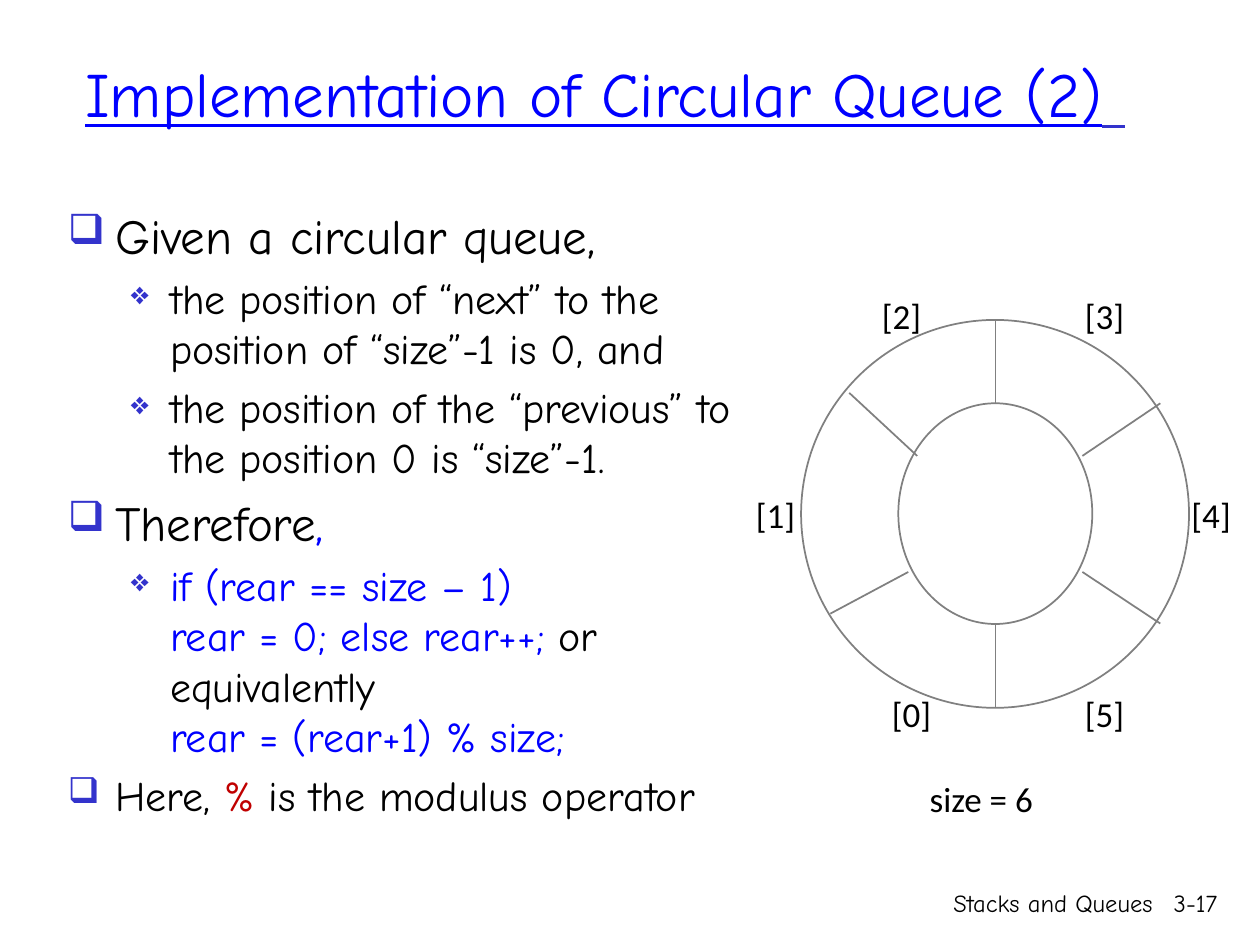
import lxml.etree
import pptx
import pptx.dml.color
import pptx.enum.shapes
import pptx.enum.text
import pptx.oxml.ns
import pptx.util

Cm = pptx.util.Cm
Pt = pptx.util.Pt
qn = pptx.oxml.ns.qn
Align = pptx.enum.text.PP_ALIGN
Anchor = pptx.enum.text.MSO_ANCHOR
AutoSize = pptx.enum.text.MSO_AUTO_SIZE

BLUE, INDIGO, BLACK, RED, GRAY = "0000FF", "3333CC", "000000", "C00000", "808080"
HAND, PLAIN = "Comic Neue", "Calibri"


def color(value):
    return pptx.dml.color.RGBColor.from_string(value)


def apply(target, formats):
    for name, value in formats.items():
        setattr(target, name, value)


class SlideBuilder:
    bullets = {
        0: {"char": "❑", "size": 85, "margin": 0.95, "hanging": 0.95},
        1: {"char": "❖", "size": 75, "margin": 2.06, "hanging": 0.79},
    }

    def __init__(self, page):
        self.page = page

    def text_box(self, left, top, width, height, **frame_formats):
        box = self.page.shapes.add_textbox(Cm(left), Cm(top), Cm(width), Cm(height))
        apply(box.text_frame, {"word_wrap": True, **frame_formats})
        return box.text_frame

    def spans(self, para, pieces, size, font=HAND, **formats):
        for text, ink in pieces:
            for number, line in enumerate(text.split("\n")):
                if number:
                    para.add_line_break()
                if line:
                    span = para.add_run()
                    span.text = line
                    apply(span.font, {"name": font, "size": Pt(size), **formats})
                    span.font.color.rgb = color(ink)

    def bullet(self, para, level):
        style = self.bullets[level]
        para.level = level
        properties = para._p.get_or_add_pPr()
        properties.set("marL", str(Cm(style["margin"])))
        properties.set("indent", str(-Cm(style["hanging"])))
        tint = lxml.etree.SubElement(properties, qn("a:buClr"))
        lxml.etree.SubElement(tint, qn("a:srgbClr"), val=INDIGO)
        lxml.etree.SubElement(properties, qn("a:buSzPct"), val=str(style["size"] * 1000))
        lxml.etree.SubElement(properties, qn("a:buChar"), char=style["char"])

    def outline(self, frame, items):
        for number, (level, size, pieces) in enumerate(items):
            para = frame.add_paragraph() if number else frame.paragraphs[0]
            para.space_before = Pt(size * 0.2 if number else 0)
            self.bullet(para, level)
            self.spans(para, pieces, size)

    def footer(self, text, left, width):
        para = self.text_box(left, 17.78, width, 1.27).paragraphs[0]
        para.alignment = Align.RIGHT
        self.spans(para, [(text, BLACK)], 14)

    def label(self, text, left, top, width=1.3):
        frame = self.text_box(left, top, width, 1.12, word_wrap=False,
                              auto_size=AutoSize.SHAPE_TO_FIT_TEXT)
        self.spans(frame.paragraphs[0], [(text, BLACK)], 20, PLAIN)

    def stroke(self, shape):
        shape.line.color.rgb = color(GRAY)
        shape.line.width = Pt(1)

    def ellipse(self, left, top, width, height):
        oval = pptx.enum.shapes.MSO_SHAPE.OVAL
        shape = self.page.shapes.add_shape(oval, Cm(left), Cm(top), Cm(width), Cm(height))
        shape.shadow.inherit = False
        shape.fill.background()
        self.stroke(shape)

    def line(self, *ends):
        straight = pptx.enum.shapes.MSO_CONNECTOR.STRAIGHT
        connector = self.page.shapes.add_connector(straight, *map(Cm, ends))
        lxml.etree.SubElement(connector._element.spPr, qn("a:effectLst"))
        self.stroke(connector)


def main():
    deck = pptx.Presentation()
    apply(deck, {"slide_width": Cm(25.4), "slide_height": Cm(19.05)})
    builder = SlideBuilder(deck.slides.add_slide(deck.slide_layouts[6]))

    title = builder.text_box(1.47, 0.64, 23.14, 2.34, vertical_anchor=Anchor.MIDDLE)
    heading = title.paragraphs[0]
    builder.spans(heading, [("Implementation of Circular Queue (2)", BLUE)], 36, underline=True)
    builder.spans(heading, [(" ", INDIGO)], 40, underline=True)

    builder.outline(builder.text_box(1.12, 4.01, 14.22, 12.9), [
        (0, 28, [("Given a circular queue,", BLACK)]),
        (1, 24, [("the position of “next” to the position of “size”-1 is 0, and", BLACK)]),
        (1, 24, [("the position of the “previous” to the position 0 is “size”-1.", BLACK)]),
        (0, 28, [("Therefore", BLACK), (",", BLUE)]),
        (1, 24, [("if (rear == size – 1)\nrear = 0; else rear++; ", BLUE),
                 ("or\nequivalently\n", BLACK),
                 ("rear = (rear+1) % size;", BLUE)]),
        (0, 24, [("Here, ", BLACK), ("%", RED), (" is the modulus operator", BLACK)]),
    ])

    builder.footer("Stacks and Queues", 15.44, 8.05)
    builder.footer("3-17", 23.06, 1.73)

    builder.ellipse(16.15, 6.45, 7.82, 7.82)
    builder.ellipse(18.11, 8.13, 3.91, 4.45)
    spokes = [
        (20.07, 6.45, 20.07, 8.13),
        (20.07, 12.57, 20.07, 14.27),
        (17.12, 7.92, 18.49, 9.19),
        (21.82, 11.53, 23.39, 12.57),
        (16.74, 12.37, 18.31, 11.53),
        (21.82, 9.19, 23.39, 8.13),
    ]
    for spoke in spokes:
        builder.line(*spoke)

    top, middle, bottom = 5.82, 9.83, 13.84
    slots = [(17.73, bottom), (14.99, middle), (17.53, top),
             (21.62, top), (23.77, middle), (21.62, bottom)]
    for index, (left, height) in enumerate(slots):
        builder.label(f"[{index}]", left, height)
    builder.label("size = 6", 18.49, 15.54, 3.1)

    deck.save("out.pptx")


if __name__ == "__main__":
    main()
